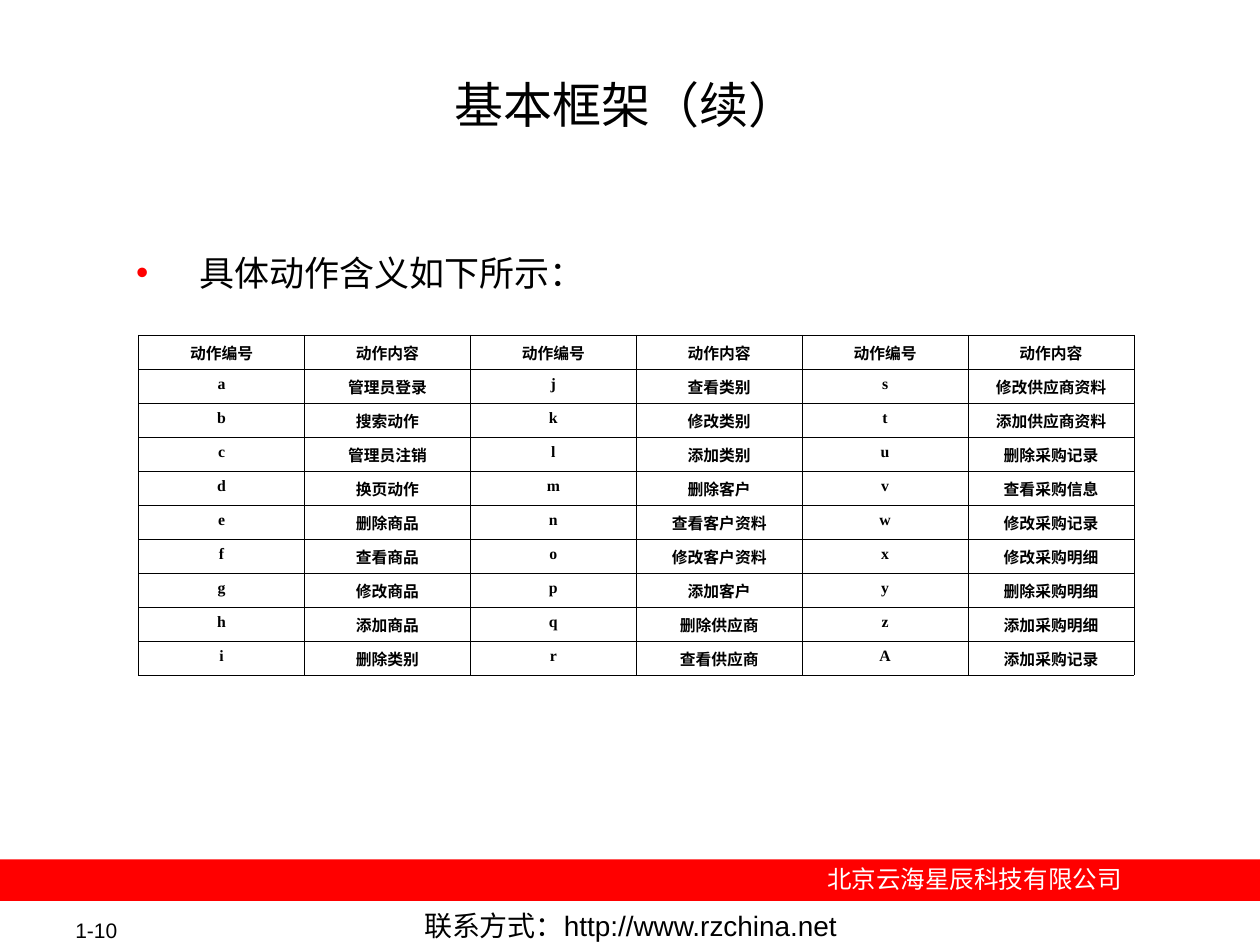
from dataclasses import dataclass
from typing import Any

from lxml.etree import SubElement as Sub
from pptx import Presentation as Deck
from pptx.dml.color import RGBColor as Rgb
from pptx.enum.shapes import MSO_SHAPE as Kind
from pptx.enum.text import MSO_ANCHOR as Anchor, PP_ALIGN as Align
from pptx.oxml.ns import qn
from pptx.util import Inches, Pt

BLACK, WHITE, RED = "000000", "FFFFFF", "FF0000"
KEYS = "abcdefghijklmnopqrstuvwxyzA"
HEADS = ("动作编号", "动作内容")
ACTS = (
    "管理员登录", "搜索动作", "管理员注销", "换页动作", "删除商品",
    "查看商品", "修改商品", "添加商品", "删除类别",
    "查看类别", "修改类别", "添加类别", "删除客户", "查看客户资料",
    "修改客户资料", "添加客户", "删除供应商", "查看供应商",
    "修改供应商资料", "添加供应商资料", "删除采购记录", "查看采购信息",
    "修改采购记录", "修改采购明细", "删除采购明细", "添加采购明细",
    "添加采购记录",
)
PAIRS = 3
ITEMS = len(KEYS) // PAIRS


@dataclass
class Label:
    text: str
    box: tuple[float, float, float, float]
    size: int
    align: Align = Align.CENTER
    color: str = BLACK
    anchor: Anchor = Anchor.TOP
    pad: tuple[float, float] = (0.1, 0.05)
    bullet: str = ""


LABELS = (
    Label("1-10", (0.5, 7.28, 1.06, 0.2), 12, Align.LEFT, anchor=Anchor.MIDDLE),
    Label("北京云海星辰科技有限公司", (6.4, 6.81, 2.67, 0.34), 14, color=WHITE),
    Label("联系方式：http://www.rzchina.net", (2.76, 7.24, 4.49, 0.21), 16,
          anchor=Anchor.MIDDLE),
    Label("基本框架（续）", (0.97, 0.58, 8, 0.96), 28, pad=(0.01, 0.01)),
    Label("具体动作含义如下所示：", (0.94, 1.99, 8.31, 0.36), 20, Align.LEFT,
          pad=(0.01, 0.01), bullet="•"),
)


def tint(code: str) -> Rgb:
    return Rgb.from_string(code)


def apply(target: Any, values: dict[str, Any]) -> None:
    for name, value in values.items():
        setattr(target, name, value)


def style(para: Any, size: int, face: str, color: str, bold: bool = False) -> None:
    font = para.runs[0].font
    apply(font, {"size": Pt(size), "name": face, "bold": bold})
    font.color.rgb = tint(color)


def add_mark(para: Any, mark: str) -> None:
    props = para._p.get_or_add_pPr()
    props.set("marL", str(Inches(0.63)))
    props.set("indent", str(Inches(-0.5)))
    Sub(Sub(props, qn("a:buClr")), qn("a:srgbClr"), val=RED)
    Sub(props, qn("a:buFont"), typeface="Arial")
    Sub(props, qn("a:buChar"), char=mark)


def add_label(slide: Any, item: Label) -> None:
    frame = slide.shapes.add_textbox(*map(Inches, item.box)).text_frame
    side, edge = map(Inches, item.pad)
    apply(frame, {
        "word_wrap": True, "vertical_anchor": item.anchor,
        "margin_left": side, "margin_right": side,
        "margin_top": edge, "margin_bottom": edge,
    })
    para = frame.paragraphs[0]
    apply(para, {"text": item.text, "alignment": item.align})
    if item.bullet:
        add_mark(para, item.bullet)
    style(para, item.size, "Arial", item.color)


def add_band(slide: Any) -> None:
    band = slide.shapes.add_shape(
        Kind.RECTANGLE, Inches(0), Inches(6.82), Inches(10), Inches(0.33))
    band.shadow.inherit = False
    band.fill.solid()
    band.fill.fore_color.rgb = tint(RED)
    band.line.fill.background()


def fill_cell(cell: Any, text: str) -> None:
    para = cell.text_frame.paragraphs[0]
    apply(para, {"text": text, "alignment": Align.CENTER})
    style(para, 9, "Times New Roman", BLACK, True)
    props = cell._tc.get_or_add_tcPr()
    for side in ("L", "R", "T", "B"):
        line = Sub(props, qn(f"a:ln{side}"), w=str(Pt(0.45)))
        Sub(Sub(line, qn("a:solidFill")), qn("a:srgbClr"), val=BLACK)
    cell.fill.background()


def add_grid(slide: Any) -> None:
    rows = [HEADS * PAIRS]
    for row in range(ITEMS):
        picks = range(row, len(KEYS), ITEMS)
        rows.append(tuple(t for i in picks for t in (KEYS[i], ACTS[i])))
    grid = slide.shapes.add_table(
        len(rows), len(rows[0]),
        Inches(1.1), Inches(2.66), Inches(7.9), Inches(2.7)).table
    apply(grid, {"first_row": False, "horz_banding": False})
    for r, row in enumerate(rows):
        for c, text in enumerate(row):
            fill_cell(grid.cell(r, c), text)


def main() -> None:
    deck = Deck()
    apply(deck, {"slide_width": Inches(10), "slide_height": Inches(7.5)})
    slide = deck.slides.add_slide(deck.slide_layouts[6])
    add_band(slide)
    for item in LABELS:
        add_label(slide, item)
    add_grid(slide)
    deck.save("out.pptx")


if __name__ == "__main__":
    main()
